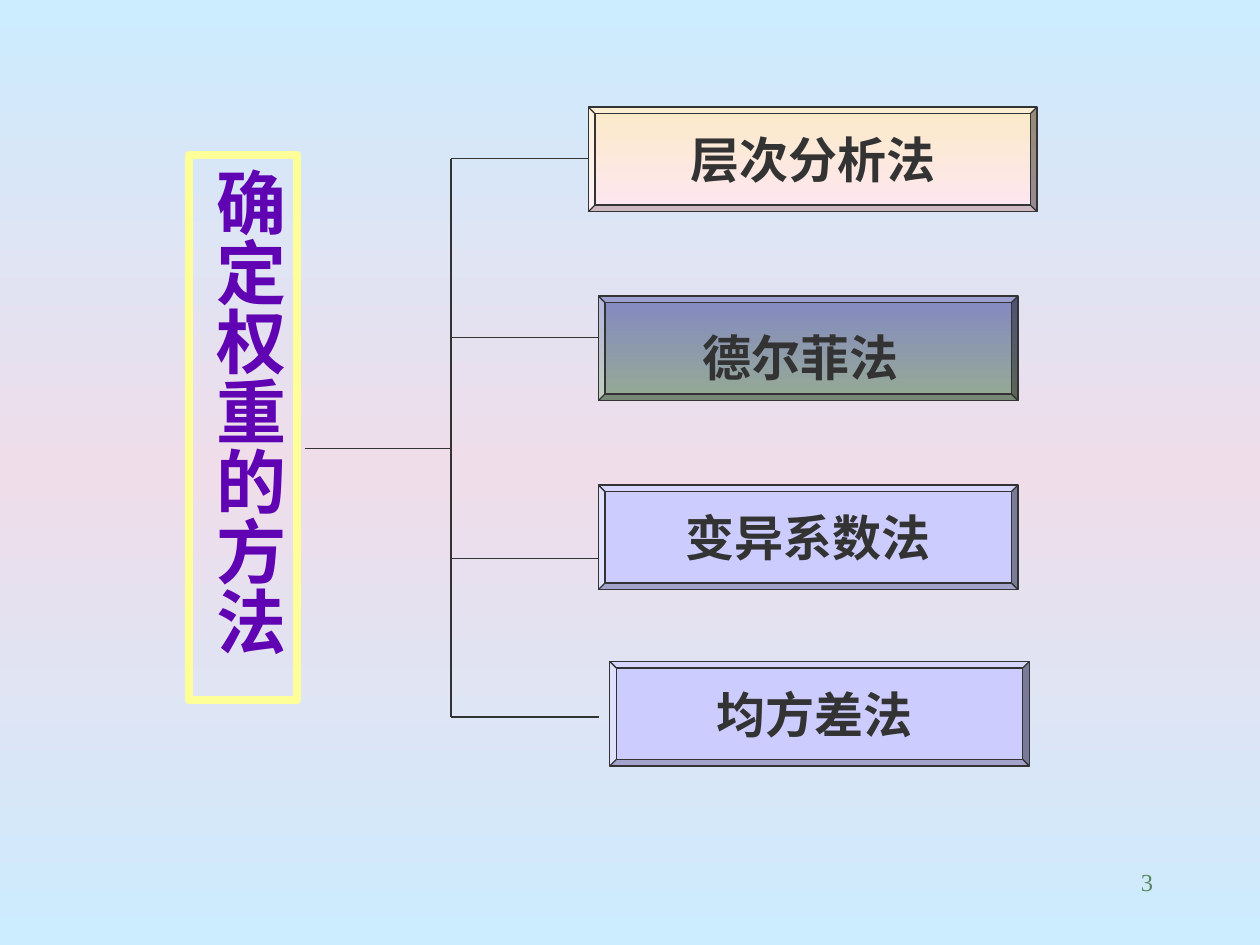
from pptx import Presentation
from pptx import util as u
from pptx.dml.color import RGBColor
from pptx.enum import shapes, text
from pptx.oxml.ns import qn
from lxml import etree
from copy import deepcopy

SERIF = "Times New Roman"
SANS = "Noto Sans CJK SC"
INK = "333333"


def color(value):
    return RGBColor.from_string(value)


def fill_gradient(fill, owner, colors):
    """Fill from top to bottom with evenly spaced colours."""
    fill.gradient()
    fill.gradient_angle = 270
    stops = owner.find(".//" + qn("a:gsLst"))
    while len(stops) < len(colors):
        stops.append(deepcopy(stops[-1]))
    for index, (stop, value) in enumerate(zip(fill.gradient_stops, colors)):
        stop.position = index / (len(colors) - 1)
        stop.color.rgb = color(value)


def add_run(para, words, size, font, value, bold=False):
    span = para.add_run()
    span.text = words
    span.font.size = u.Pt(size)
    span.font.name = font
    span.font.bold = bold
    span.font.color.rgb = color(value)
    east = etree.SubElement(span.font._element, qn("a:ea"))
    east.set("typeface", SANS)


def add_method(page, left, top, width, colors, runs):
    """Bevelled box naming one method; runs hold words, size and font."""
    box = page.shapes.add_shape(shapes.MSO_SHAPE.BEVEL, u.Inches(left), u.Inches(top),
                                u.Inches(width), u.Inches(0.83))
    box.adjustments[0] = 0.0625
    box.shadow.inherit = False
    if len(colors) > 1:
        fill_gradient(box.fill, box._element, colors)
    else:
        box.fill.solid()
        box.fill.fore_color.rgb = color(colors[0])
    box.line.color.rgb = color(INK)
    box.line.width = u.Pt(0.75)
    frame = box.text_frame
    frame.word_wrap = False
    frame.vertical_anchor = text.MSO_ANCHOR.MIDDLE
    para = frame.paragraphs[0]
    para.alignment = text.PP_ALIGN.CENTER
    for words, size, font in runs:
        add_run(para, words, size, font, INK, bold=True)


def add_topic(page):
    """Framed vertical heading."""
    box = page.shapes.add_shape(shapes.MSO_SHAPE.RECTANGLE, u.Inches(1.5), u.Inches(1.23),
                                u.Inches(0.86), u.Inches(4.33))
    box.shadow.inherit = False
    box.fill.background()
    box.line.color.rgb = color("FFFF99")
    box.line.width = u.Pt(4.5)
    frame = box.text_frame
    frame.word_wrap = True
    frame.vertical_anchor = text.MSO_ANCHOR.TOP
    frame.margin_left = frame.margin_right = u.Inches(0.05)
    frame.margin_top = frame.margin_bottom = u.Inches(0.1)
    frame._element.find(qn("a:bodyPr")).set("vert", "eaVert")
    para = frame.paragraphs[0]
    para.alignment = text.PP_ALIGN.CENTER
    add_run(para, "确定权重的方法", 40, SANS, "5F03B3", bold=True)


def add_line(page, x1, y1, x2, y2):
    line = page.shapes.add_connector(shapes.MSO_CONNECTOR.STRAIGHT, u.Inches(x1),
                                     u.Inches(y1), u.Inches(x2), u.Inches(y2))
    line.line.color.rgb = color(INK)
    line.line.width = u.Pt(0.75)
    etree.SubElement(line._element.spPr, qn("a:effectLst"))


def add_page_number(page):
    box = page.shapes.add_textbox(u.Inches(7.17), u.Inches(6.83),
                                  u.Inches(2.08), u.Inches(0.5))
    box.text_frame.word_wrap = True
    para = box.text_frame.paragraphs[0]
    para.alignment = text.PP_ALIGN.RIGHT
    add_run(para, "3", 14, SERIF, "578963")


def main():
    deck = Presentation()
    deck.slide_width, deck.slide_height = u.Inches(10), u.Inches(7.5)
    page = deck.slides.add_slide(deck.slide_layouts[6])
    fill_gradient(page.background.fill, page.element, ["CCECFF", "EFDDEA", "CCECFF"])
    add_page_number(page)
    add_topic(page)

    # Stem, trunk and branches of the tree
    trunk = 3.58
    branches = [(1.26, 4.67), (2.68, 4.75), (4.43, 4.75), (5.69, 4.75)]
    add_line(page, 2.42, 3.56, trunk, 3.56)
    add_line(page, trunk, branches[0][0], trunk, branches[-1][0])
    for y, end in branches:
        add_line(page, trunk, y, end, y)

    # Methods; the trailing spaces set the line height and centring
    methods = [
        (4.67, 0.85, 3.56, ["FBEAC7", "FEE7F2"], [("层次分析法", 28, SERIF)]),
        (4.75, 2.35, 3.33, ["8488C4", "96AB94"], [("德尔菲法", 28, SANS), (" ", 40, SANS)]),
        (4.75, 3.85, 3.33, ["CCCCFF"], [("变异系数法", 28, SERIF)]),
        (4.84, 5.25, 3.33, ["CCCCFF"], [("均方差法", 28, SERIF), (" ", 24, SERIF)]),
    ]
    for method in methods:
        add_method(page, *method)
    deck.save("out.pptx")


if __name__ == "__main__":
    main()
